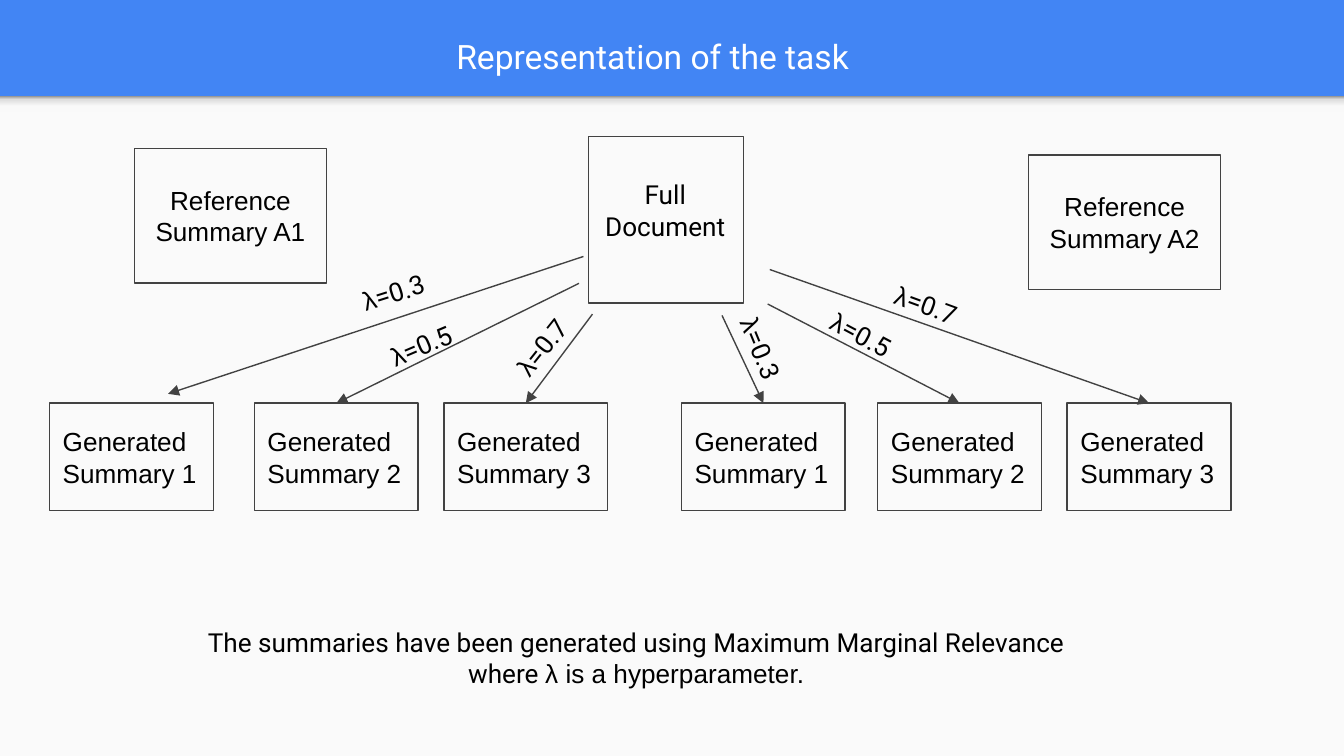
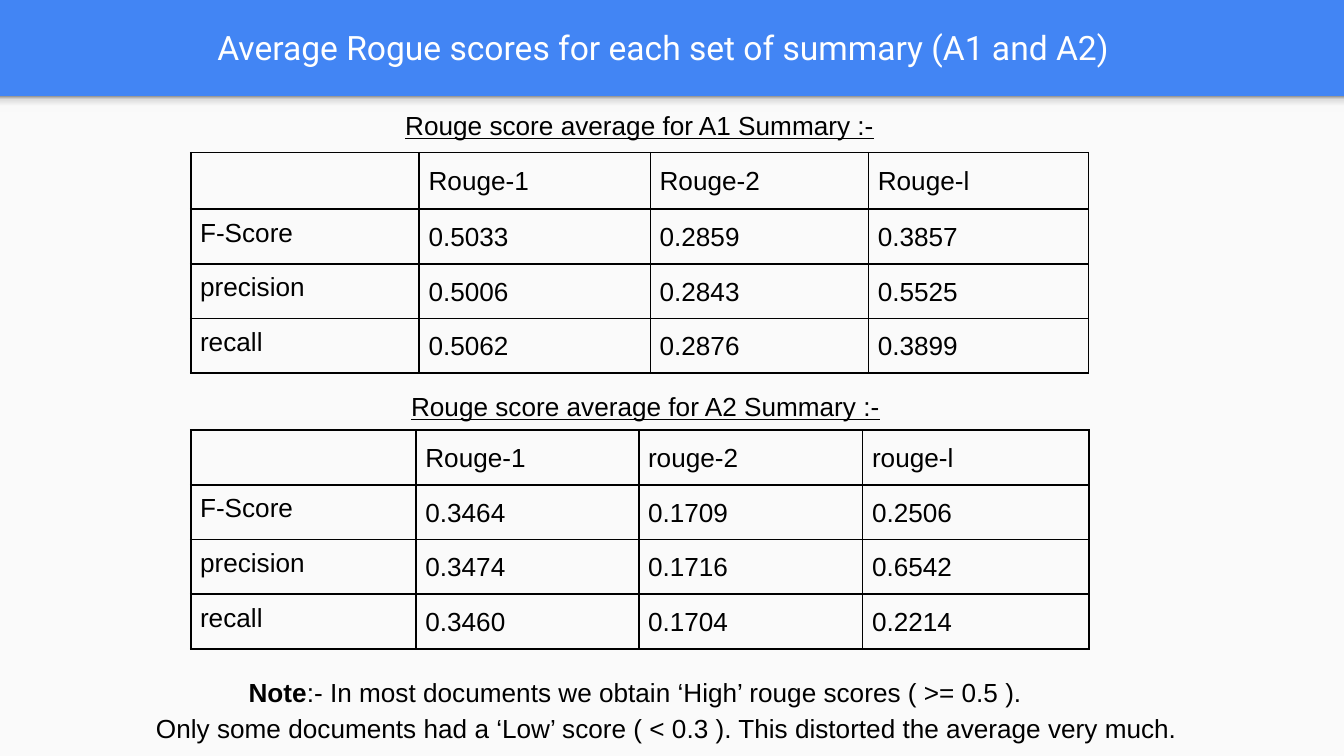
from lxml.etree import SubElement
from pptx import Presentation
from pptx.dml.color import RGBColor
from pptx.enum.shapes import MSO_CONNECTOR, MSO_SHAPE
from pptx.enum.text import MSO_ANCHOR, PP_ALIGN
from pptx.oxml import parse_xml
from pptx.oxml.ns import nsdecls, qn
from pptx.util import Pt

BLUE, PAPER, GREY, BLACK, WHITE = "4285F4", "FAFAFA", "424242", "000000", "FFFFFF"
SHADE = [(0, "F9F9F9"), (36, "F9F9F9"), (80, "DEDEDE"), (100, "999999")]
ARIAL, ROBOTO = "Arial", "Roboto"
CENTER, LEFT = PP_ALIGN.CENTER, PP_ALIGN.LEFT


def rgb(value):
    return RGBColor.from_string(value)


class Deck:
    size = 14
    band = 51.6
    inset = 7.2

    def __init__(self):
        self.prs = Presentation()
        self.prs.slide_width, self.prs.slide_height = Pt(720), Pt(405)

    def slide(self, title, x, y):
        self.s = self.prs.slides.add_slide(self.prs.slide_layouts[6])
        fill = self.s.background.fill
        fill.solid()
        fill.fore_color.rgb = rgb(BLUE)
        body = self.rect(0, self.band, 720, 405 - self.band)
        body.fill.solid()
        body.fill.fore_color.rgb = rgb(PAPER)
        self.shade(self.rect(0, self.band, 720, 8.6))
        self.text(x, y, 695, 47.5, [[(title, ROBOTO)]], al=CENTER,
                  anchor=MSO_ANCHOR.MIDDLE, size=18, color=WHITE)

    def shade(self, sp):
        stops = "".join(
            f'<a:gs pos="{pos * 1000}"><a:srgbClr val="{color}"/></a:gs>'
            for pos, color in SHADE)
        grad = parse_xml(
            f'<a:gradFill {nsdecls("a")}><a:gsLst>{stops}</a:gsLst>'
            '<a:lin ang="16200000" scaled="0"/></a:gradFill>')
        props = sp._element.spPr
        props.replace(props.find(qn("a:noFill")), grad)

    def rect(self, x, y, w, h, line=None):
        sp = self.s.shapes.add_shape(MSO_SHAPE.RECTANGLE, Pt(x), Pt(y), Pt(w), Pt(h))
        sp.shadow.inherit = False
        sp.fill.background()
        if line:
            sp.line.color.rgb = rgb(line)
            sp.line.width = Pt(0.75)
        else:
            sp.line.fill.background()
        return sp

    def frame(self, tf, anchor):
        tf.word_wrap = True
        tf.vertical_anchor = anchor
        tf.margin_left = tf.margin_right = Pt(self.inset)
        tf.margin_top = tf.margin_bottom = Pt(self.inset)

    def add_runs(self, tf, paras, al=LEFT, spacing=None, indents=(), size=None,
                 color=BLACK, underline=None):
        for i, runs in enumerate(paras):
            p = tf.paragraphs[0] if i == 0 else tf.add_paragraph()
            p.alignment = al
            if spacing:
                p.line_spacing = spacing
            if indents:
                props = p._p.get_or_add_pPr()
                props.set("marL", str(Pt(indents[i])))
                props.set("indent", "0")
            for text, font, *bold in runs:
                r = p.add_run()
                r.text = text
                r.font.name = font
                r.font.size = Pt(size or self.size)
                r.font.color.rgb = rgb(color)
                r.font.underline = underline
                if bold:
                    r.font.bold = True

    def text(self, x, y, w, h, paras, angle=0, anchor=MSO_ANCHOR.TOP, **style):
        sp = self.s.shapes.add_textbox(Pt(x), Pt(y), Pt(w), Pt(h))
        sp.rotation = angle
        self.frame(sp.text_frame, anchor)
        self.add_runs(sp.text_frame, paras, **style)

    def box(self, x, y, w, h, text="", al=LEFT):
        sp = self.rect(x, y, w, h, GREY)
        if text:
            self.frame(sp.text_frame, MSO_ANCHOR.MIDDLE)
            self.add_runs(sp.text_frame, [[(t, ARIAL)] for t in text.split("\n")], al)

    def arrow(self, x1, y1, x2, y2):
        c = self.s.shapes.add_connector(
            MSO_CONNECTOR.STRAIGHT, Pt(x1), Pt(y1), Pt(x2), Pt(y2))
        c.line.color.rgb = rgb(GREY)
        c.line.width = Pt(0.75)
        SubElement(c.line._get_or_add_ln(), qn("a:tailEnd"), type="triangle")
        SubElement(c._element.spPr, qn("a:effectLst"))

    def borders(self, cell):
        props = cell._tc.get_or_add_tcPr()
        for side in ("lnL", "lnR", "lnT", "lnB"):
            ln = SubElement(props, qn(f"a:{side}"), w=str(Pt(1)))
            SubElement(SubElement(ln, qn("a:solidFill")), qn("a:srgbClr"), val=BLACK)

    def table(self, x, y, widths, heights, rows):
        t = self.s.shapes.add_table(
            len(rows), len(widths), Pt(x), Pt(y), Pt(sum(widths)), Pt(sum(heights))).table
        t.first_row = t.horz_banding = False
        for col, w in zip(t.columns, widths):
            col.width = Pt(w)
        for i, (row, h) in enumerate(zip(rows, heights)):
            t.rows[i].height = Pt(h)
            for j, value in enumerate(row):
                cell = t.cell(i, j)
                self.borders(cell)
                cell.fill.background()
                cell.margin_left = cell.margin_right = Pt(5)
                cell.margin_top = cell.margin_bottom = Pt(5)
                if value:
                    self.add_runs(cell.text_frame, [[(value, ARIAL)]],
                                  spacing=1.15 if j else None)
                else:
                    SubElement(cell.text_frame.paragraphs[0]._p,
                               qn("a:endParaRPr"), sz=str(self.size * 100))


deck = Deck()

deck.slide("Representation of the task", 2.2, 6.5)
deck.box(315.4, 73, 82.8, 89.3)
deck.text(316.8, 88.6, 79.2, 57.6, [[("Full Document", ROBOTO)]], al=CENTER)
for x, y, name in [(72, 79.6, "A1"), (551, 83, "A2")]:
    deck.box(x, y, 103, 72, f"Reference Summary {name}", CENTER)

summaries = [(26.5, "Generated Summary 1"), (136.2, "Generated\nSummary 2"),
             (237.8, "Generated Summary 3"), (365, "Generated Summary 1"),
             (470.2, "Generated Summary 2"), (571.7, "Generated Summary 3")]
for x, name in summaries:
    deck.box(x, 216, 87.8, 57.6, name)

for ends in [(317.4, 168.3, 281.7, 216), (411.3, 162.9, 514, 216),
             (386.8, 169, 409, 216), (412.4, 144.4, 615.6, 216),
             (310.2, 151.8, 180.2, 216), (312.6, 137.4, 90, 211)]:
    deck.arrow(*ends)

labels = [(187.2, 136, 79.2, 41, -17.6, "0.3"), (197.3, 160.6, 95, 20.2, -23, "0.5"),
          (254.9, 153.4, 94.3, 25.2, -51.4, "0.7"), (471.6, 155.5, 94.3, 25.2, 20.1, "0.7"),
          (369.4, 182.2, 79.2, 41, 67.7, "0.3"), (437, 175, 95, 20.2, 28, "0.5")]
for x, y, w, h, angle, value in labels:
    deck.text(x, y, w, h, [[("λ", ARIAL), (f"={value}", ROBOTO)]], angle)

deck.text(102.2, 328.3, 477.4, 53.3, [[
    ("The summaries have been generated using Maximum Marginal Relevance where ", ROBOTO),
    ("λ is a hyperparameter.", ARIAL)]], al=CENTER)

deck.slide("Average Rogue scores for each set of summary (A1 and A2)", 7.9, 1.4)
deck.table(102.2, 81.8, [122.4, 123.8, 116.9, 117.8], [30.2, 28.1, 28.1, 28.1], [
    ["", "Rouge-1", "Rouge-2", "Rouge-l"],
    ["F-Score", "0.5033", "0.2859", "0.3857"],
    ["precision", "0.5006", "0.2843", "0.5525"],
    ["recall", "0.5062", "0.2876", "0.3899"]])
deck.table(102.2, 230.4, [120.7, 119.3, 120, 121.4], [28.1] * 4, [
    ["", "Rouge-1", "rouge-2", "rouge-l"],
    ["F-Score", "0.3464", "0.1709", "0.2506"],
    ["precision", "0.3474", "0.1716", "0.6542"],
    ["recall", "0.3460", "0.1704", "0.2214"]])
for x, y, w, h, name, al in [(97.9, 49, 489.6, 23, "A1", CENTER),
                             (213.1, 199.4, 272.2, 25.9, "A2", LEFT)]:
    deck.text(x, y, w, h, [[(f"Rouge score average for {name} Summary :-", ARIAL)]],
              al=al, spacing=1.15, underline=True)
deck.text(33.1, 352.8, 702.7, 23, [
    [("Note", ARIAL, True),
     (":- In most documents we obtain ‘High’ rouge scores ( >= 0.5 ).", ARIAL)],
    [("Only some documents had a ‘Low’ score ( < 0.3 ). "
      "This distorted the average very much.", ARIAL)]],
    spacing=1.15, indents=(93, 43.4))

deck.prs.save("out.pptx")
